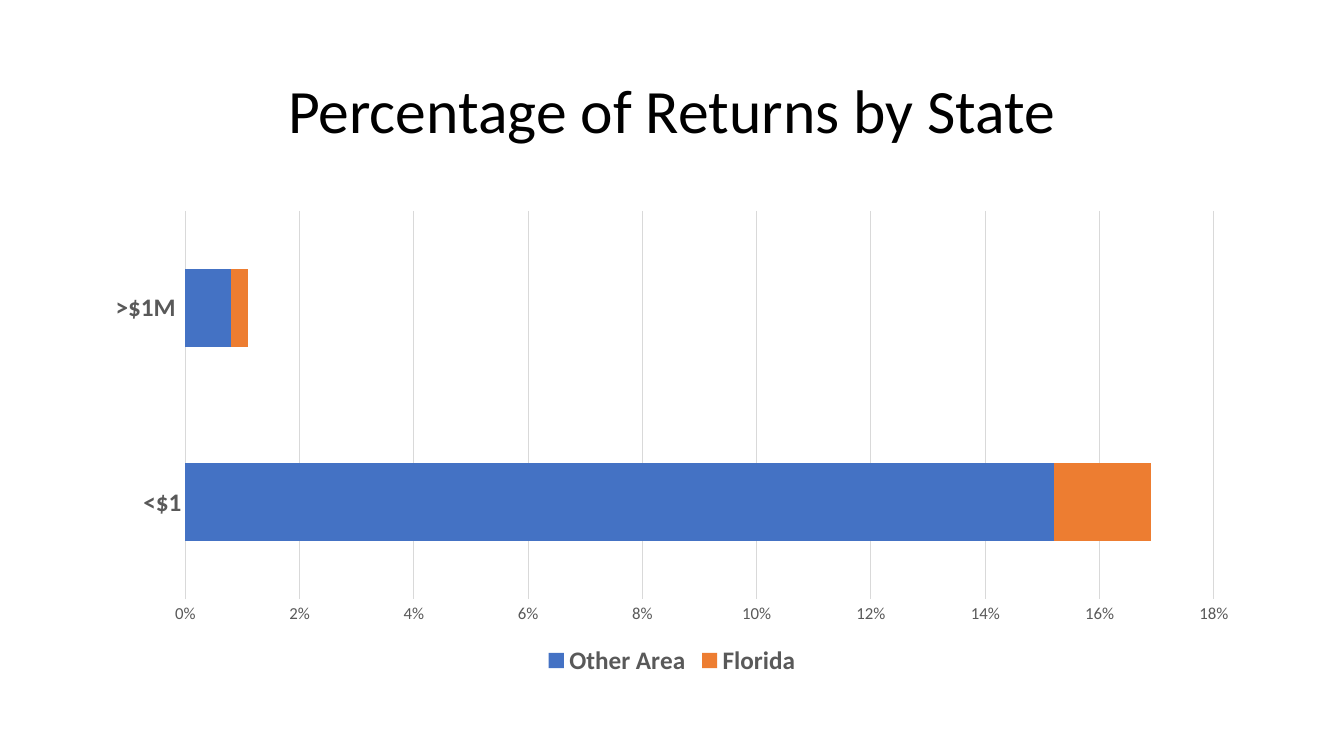
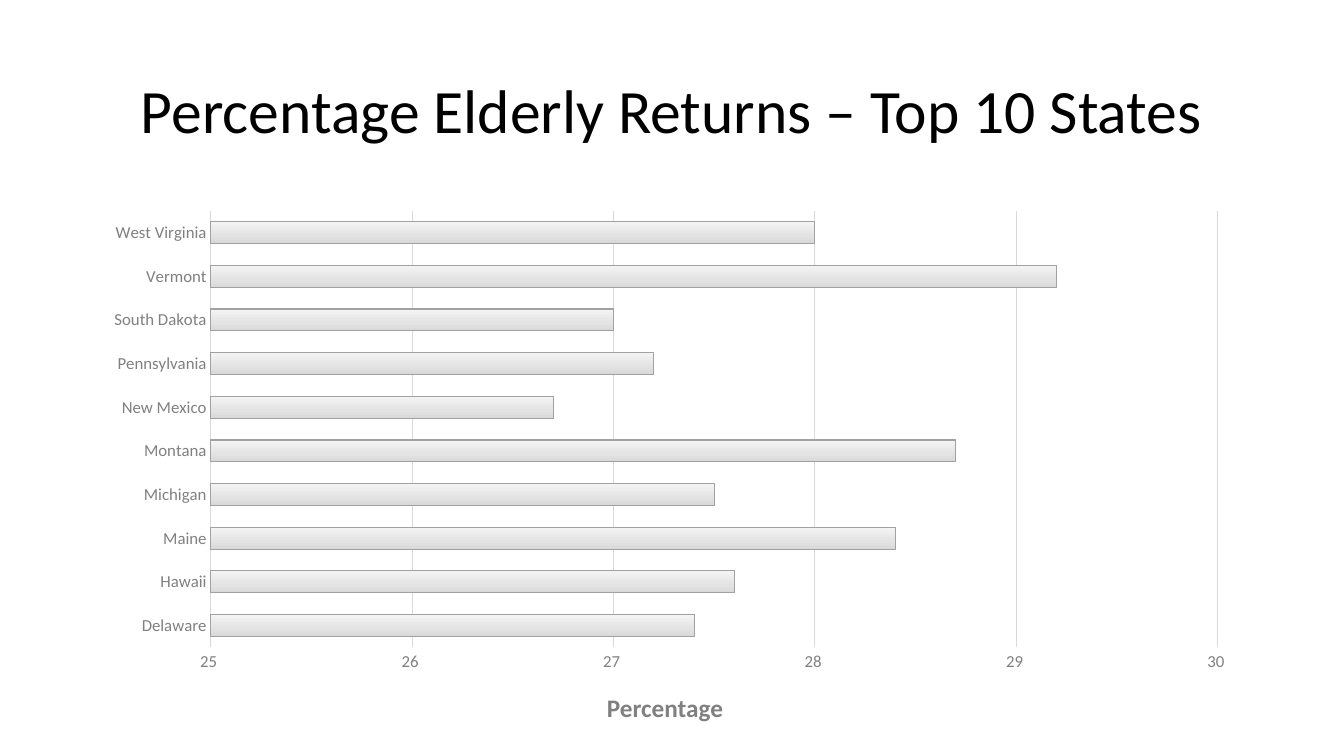
"""Build two slides with bar charts about tax returns by state."""
from copy import deepcopy

from pptx import Presentation
from pptx.chart.data import CategoryChartData
from pptx.dml.color import RGBColor
from pptx.enum.chart import XL_CHART_TYPE, XL_LEGEND_POSITION, XL_TICK_MARK
from pptx.enum.text import MSO_ANCHOR, MSO_AUTO_SIZE, PP_ALIGN
from pptx.util import Pt

COLORS = {
    "title": "000000",
    "label": "595959",
    "muted": "808080",
    "grid": "D9D9D9",
    "other": "4472C4",
    "florida": "ED7D31",
    "bar_line": "A1A1A1",
}
BAR_GRADIENT = [(0, "D8D8D8"), (0.35, "E3E3E3"), (1, "F4F4F4")]
FONT = "Calibri"
LEFT, WIDTH = Pt(66), Pt(828)


def style_font(font, size, color, bold=False):
    font.name = FONT
    font.size = Pt(size)
    font.bold = bold
    font.color.rgb = RGBColor.from_string(COLORS[color])


def add_chart_slide(title_text, chart_type, chart_data, label_color, category_size,
                    category_bold, scale, number_format, gap_width):
    slide = presentation.slides.add_slide(presentation.slide_layouts[5])
    title = slide.shapes.title
    title.left, title.top, title.width, title.height = LEFT, Pt(28.75), WIDTH, Pt(104.38)
    title.text_frame.text = title_text
    title.text_frame.vertical_anchor = MSO_ANCHOR.MIDDLE
    paragraph = title.text_frame.paragraphs[0]
    paragraph.alignment = PP_ALIGN.CENTER
    paragraph.line_spacing = 0.9
    style_font(paragraph.runs[0].font, 44, "title")

    chart = slide.shapes.add_chart(
        chart_type, LEFT, Pt(143.75), WIDTH, Pt(342.63), chart_data).chart
    style_font(chart.font, 10, "title")
    chart.has_title = False
    chart.has_legend = False
    plot = chart.plots[0]
    plot.gap_width = gap_width
    plot.vary_by_categories = False
    for axis in (chart.category_axis, chart.value_axis):
        axis.major_tick_mark = XL_TICK_MARK.NONE
        axis.minor_tick_mark = XL_TICK_MARK.NONE

    category_axis = chart.category_axis
    category_axis.has_major_gridlines = False
    style_font(category_axis.tick_labels.font, category_size, label_color, category_bold)

    value_axis = chart.value_axis
    value_axis.minimum_scale, value_axis.maximum_scale, value_axis.major_unit = scale
    value_axis.has_major_gridlines = True
    value_axis.format.line.fill.background()
    value_axis.tick_labels.number_format = number_format
    value_axis.tick_labels.number_format_is_linked = False
    style_font(value_axis.tick_labels.font, 12, label_color)

    for line in (category_axis.format.line, value_axis.major_gridlines.format.line):
        line.color.rgb = RGBColor.from_string(COLORS["grid"])
        line.width = Pt(0.75)
    return slide, chart


presentation = Presentation()
presentation.slide_width = Pt(960)
presentation.slide_height = Pt(540)

state_data = CategoryChartData(number_format="0%")
state_data.categories = ["<$1", ">$1M "]
state_data.add_series("Other Area", [0.152, 0.008])
state_data.add_series("Florida", [0.017, 0.003])
slide, chart = add_chart_slide(
    "Percentage of Returns by State", XL_CHART_TYPE.BAR_STACKED, state_data,
    "label", 18, True, (0, 0.18, 0.02), "0%", 150)
chart.plots[0].overlap = 100
for series, color in zip(chart.plots[0].series, ("other", "florida")):
    series.invert_if_negative = False
    series.format.fill.solid()
    series.format.fill.fore_color.rgb = RGBColor.from_string(COLORS[color])
chart.has_legend = True
chart.legend.position = XL_LEGEND_POSITION.BOTTOM
chart.legend.include_in_layout = False
style_font(chart.legend.font, 18, "label", True)

elderly_returns = {
    "Delaware": 27.4,
    "Hawaii": 27.6,
    "Maine": 28.4,
    "Michigan": 27.5,
    "Montana": 28.7,
    "New Mexico": 26.7,
    "Pennsylvania": 27.2,
    "South Dakota": 27,
    "Vermont": 29.2,
    "West Virginia": 28,
}
elderly_data = CategoryChartData()
elderly_data.categories = list(elderly_returns)
elderly_data.add_series("Series 1", list(elderly_returns.values()))
slide, chart = add_chart_slide(
    "Percentage Elderly Returns – Top 10 States", XL_CHART_TYPE.BAR_CLUSTERED, elderly_data,
    "muted", 12, False, (25, 30, 1), r"0_);\(0\)", 100)
series = chart.plots[0].series[0]
series.invert_if_negative = False
series.format.line.color.rgb = RGBColor.from_string(COLORS["bar_line"])
series.format.line.width = Pt(0.75)
fill = series.format.fill
fill.gradient()
fill.gradient_angle = 90
stop_list = series._element.xpath(".//a:gsLst")[0]
stop_list.insert(1, deepcopy(stop_list[0]))
for stop, (position, color) in zip(fill.gradient_stops, BAR_GRADIENT):
    stop.position = position
    stop.color.rgb = RGBColor.from_string(color)

axis_label = slide.shapes.add_textbox(Pt(422.5), Pt(491), Pt(105), Pt(29))
axis_label.text_frame.word_wrap = True
axis_label.text_frame.auto_size = MSO_AUTO_SIZE.SHAPE_TO_FIT_TEXT
axis_label.text_frame.text = "Percentage"
paragraph = axis_label.text_frame.paragraphs[0]
paragraph.alignment = PP_ALIGN.CENTER
style_font(paragraph.runs[0].font, 18, "muted", True)

presentation.save("out.pptx")
